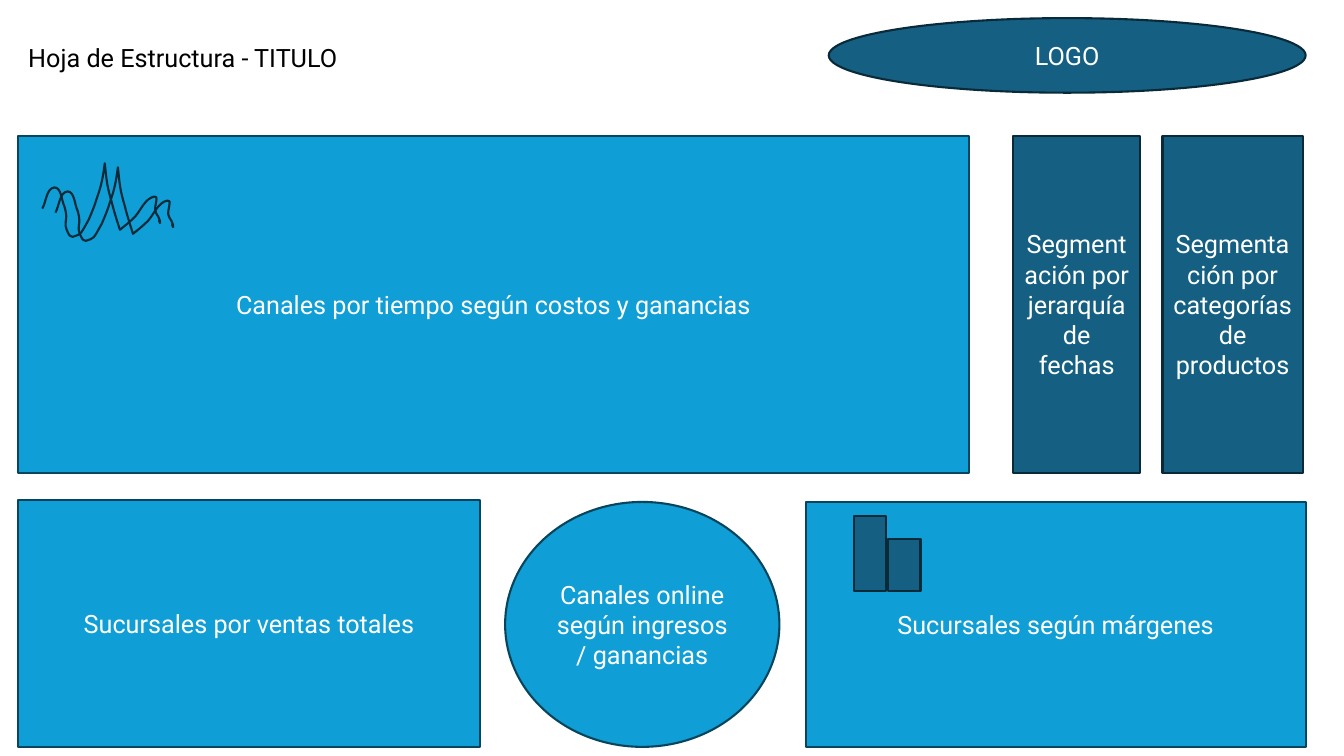
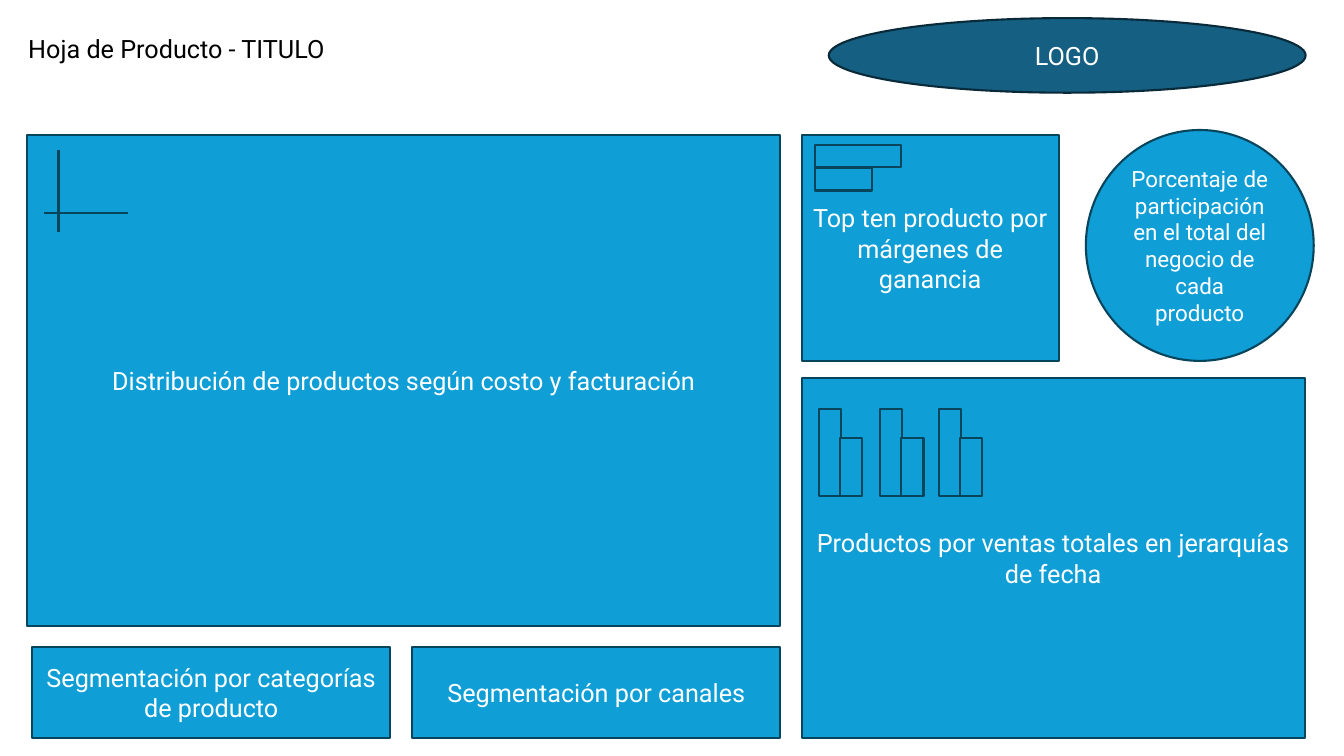
"""Build two dashboard wireframe slides: structure sheet and product sheet."""
from dataclasses import dataclass

from lxml import etree
from pptx import Presentation
from pptx.dml.color import RGBColor
from pptx.enum import shapes, text
from pptx.oxml import ns
from pptx.slide import Slide
from pptx.util import Inches, Pt

COLORS = {
    "black": "000000",
    "white": "FFFFFF",
    "panel": "0F9ED5",
    "panel_line": "07455D",
    "accent": "156082",
    "accent_line": "092A39",
}
FONT = "Roboto"
LINE_WIDTH = Pt(1.5)
RECT = shapes.MSO_SHAPE.RECTANGLE
OVAL = shapes.MSO_SHAPE.OVAL


@dataclass(frozen=True)
class Block:
    left: float
    top: float
    width: float
    height: float
    label: str = ""
    outline: shapes.MSO_SHAPE = RECT
    palette: str = "panel"
    size: int = 18


@dataclass(frozen=True)
class Axis:
    start: tuple[float, float]
    end: tuple[float, float]


LOGO = Block(8.22, 0.18, 4.73, 0.74, "LOGO", OVAL, "accent")

STRUCTURE_BLOCKS = [
    Block(0.18, 1.35, 9.43, 3.34, "Canales por tiempo según costos y ganancias"),
    Block(0.18, 4.96, 4.58, 2.45, "Sucursales por ventas totales"),
    Block(5.01, 4.98, 2.72, 2.43, "Canales online según ingresos / ganancias", OVAL),
    Block(7.99, 4.98, 4.96, 2.43, "Sucursales según márgenes"),
    Block(8.47, 5.12, 0.32, 0.74, palette="accent"),
    Block(8.81, 5.35, 0.32, 0.51, palette="accent"),
    Block(11.53, 1.35, 1.39, 3.34, "Segmentación por categorías de productos", palette="accent"),
    Block(10.05, 1.35, 1.26, 3.34, "Segmentación por jerarquía de fechas", palette="accent"),
]

BAR_LONG, BAR_SHORT, BAR_THICK = 0.86, 0.57, 0.22
BAR_BASE = 4.92
PRODUCT_BLOCKS = [
    Block(0.27, 1.34, 7.47, 4.87, "Distribución de productos según costo y facturación"),
    Block(7.95, 1.34, 2.55, 2.24, "Top ten producto por márgenes de ganancia"),
    Block(8.08, 1.44, BAR_LONG, BAR_THICK),
    Block(8.08, 1.67, BAR_SHORT, BAR_THICK),
    Block(10.77, 1.29, 2.26, 2.29,
          "Porcentaje de participación en el total del negocio de cada producto", OVAL, size=16),
    Block(7.95, 3.75, 4.99, 3.57, "Productos por ventas totales en jerarquías de fecha"),
    *(Block(pair_left + shift, BAR_BASE - length, BAR_THICK, length)
      for pair_left in (8.12, 8.73, 9.31)
      for shift, length in ((0, BAR_LONG), (0.21, BAR_SHORT))),
    Block(4.09, 6.42, 3.65, 0.9, "Segmentación por canales"),
    Block(0.32, 6.42, 3.55, 0.9, "Segmentación por categorías de producto"),
]
PRODUCT_AXES = [Axis((0.58, 1.49), (0.58, 2.3)), Axis((1.27, 2.11), (0.44, 2.11))]

TREND_START = (0.42, 2.07)
TREND_CURVES = [
    ((0.46, 2), (0.46, 1.87), (0.54, 1.86)),
    ((0.61, 1.86), (0.61, 1.99), (0.64, 2.05)),
    ((0.69, 2.22), (0.61, 2.18), (0.68, 2.32)),
    ((0.68, 2.34), (0.7, 2.34), (0.72, 2.35)),
    ((0.81, 2.32), (0.79, 2.34), (0.88, 2.18)),
    ((0.91, 2.11), (0.94, 2.04), (0.96, 1.97)),
    ((1.01, 1.83), (1.02, 1.76), (1.04, 1.62)),
    ((1.06, 1.81), (1.06, 1.84), (1.11, 2.01)),
    ((1.13, 2.1), (1.19, 2.28), (1.19, 2.28)),
    ((1.24, 2.24), (1.29, 2.2), (1.34, 2.15)),
    ((1.4, 2.08), (1.44, 1.97), (1.53, 1.95)),
    ((1.58, 1.93), (1.53, 2.05), (1.54, 2.09)),
    ((1.54, 2.11), (1.56, 2.13), (1.57, 2.15)),
    ((1.62, 2.27), (1.55, 2.13), (1.59, 2.22)),
]
TREND_OFFSETS = [(0, 0), (0.13, 0.04)]


def rgb(name: str) -> RGBColor:
    return RGBColor.from_string(COLORS[name])


def set_line(line, color: str) -> None:
    line.color.rgb = rgb(color)
    line.width = LINE_WIDTH


def write(frame, label: str, size: int, color: str, align: text.PP_ALIGN) -> None:
    frame.word_wrap = True
    paragraph = frame.paragraphs[0]
    paragraph.text = label
    paragraph.alignment = align
    paragraph.font.name = FONT
    paragraph.font.size = Pt(size)
    paragraph.font.color.rgb = rgb(color)


def add_block(slide: Slide, block: Block) -> None:
    box = slide.shapes.add_shape(block.outline, Inches(block.left), Inches(block.top),
                                 Inches(block.width), Inches(block.height))
    box.shadow.inherit = False
    box.fill.solid()
    box.fill.fore_color.rgb = rgb(block.palette)
    set_line(box.line, f"{block.palette}_line")
    if block.label:
        box.text_frame.vertical_anchor = text.MSO_ANCHOR.MIDDLE
        write(box.text_frame, block.label, block.size, "white", text.PP_ALIGN.CENTER)


def add_axis(slide: Slide, axis: Axis) -> None:
    rule = slide.shapes.add_connector(shapes.MSO_CONNECTOR.STRAIGHT,
                                      *map(Inches, axis.start + axis.end))
    set_line(rule.line, "panel_line")
    etree.SubElement(rule._element.spPr, ns.qn("a:effectLst"))


def add_trend(slide: Slide, dx: float, dy: float) -> None:
    def place(point: tuple[float, float]) -> tuple[int, int]:
        return Inches(point[0] + dx), Inches(point[1] + dy)

    builder = slide.shapes.build_freeform(*place(TREND_START))
    builder.add_line_segments([place(curve[-1]) for curve in TREND_CURVES], close=False)
    trend = builder.convert_to_shape()
    segments = list(trend._element.iter(ns.qn("a:lnTo")))
    for segment, curve in zip(segments, TREND_CURVES):
        bezier = etree.Element(ns.qn("a:cubicBezTo"))
        for x, y in map(place, curve):
            etree.SubElement(bezier, ns.qn("a:pt"), x=str(x - trend.left), y=str(y - trend.top))
        segment.getparent().replace(segment, bezier)
    trend.shadow.inherit = False
    trend.fill.background()
    set_line(trend.line, "accent_line")


def add_sheet(deck, title: str, title_top: float) -> Slide:
    slide = deck.slides.add_slide(deck.slide_layouts[5])
    heading = slide.shapes.title
    heading.left, heading.top = Inches(0.18), Inches(title_top)
    heading.width, heading.height = Inches(7.34), Inches(0.4)
    heading.text_frame.vertical_anchor = text.MSO_ANCHOR.TOP
    heading.text_frame.auto_size = text.MSO_AUTO_SIZE.SHAPE_TO_FIT_TEXT
    write(heading.text_frame, title, 18, "black", text.PP_ALIGN.LEFT)
    add_block(slide, LOGO)
    return slide


def main() -> None:
    deck = Presentation()
    deck.slide_width, deck.slide_height = Inches(13.33), Inches(7.5)

    structure = add_sheet(deck, "Hoja de Estructura - TITULO", 0.37)
    for block in STRUCTURE_BLOCKS:
        add_block(structure, block)
    for offset in TREND_OFFSETS:
        add_trend(structure, *offset)

    product = add_sheet(deck, "Hoja de Producto - TITULO", 0.28)
    for block in PRODUCT_BLOCKS:
        add_block(product, block)
    for axis in PRODUCT_AXES:
        add_axis(product, axis)

    deck.save("out.pptx")


if __name__ == "__main__":
    main()
